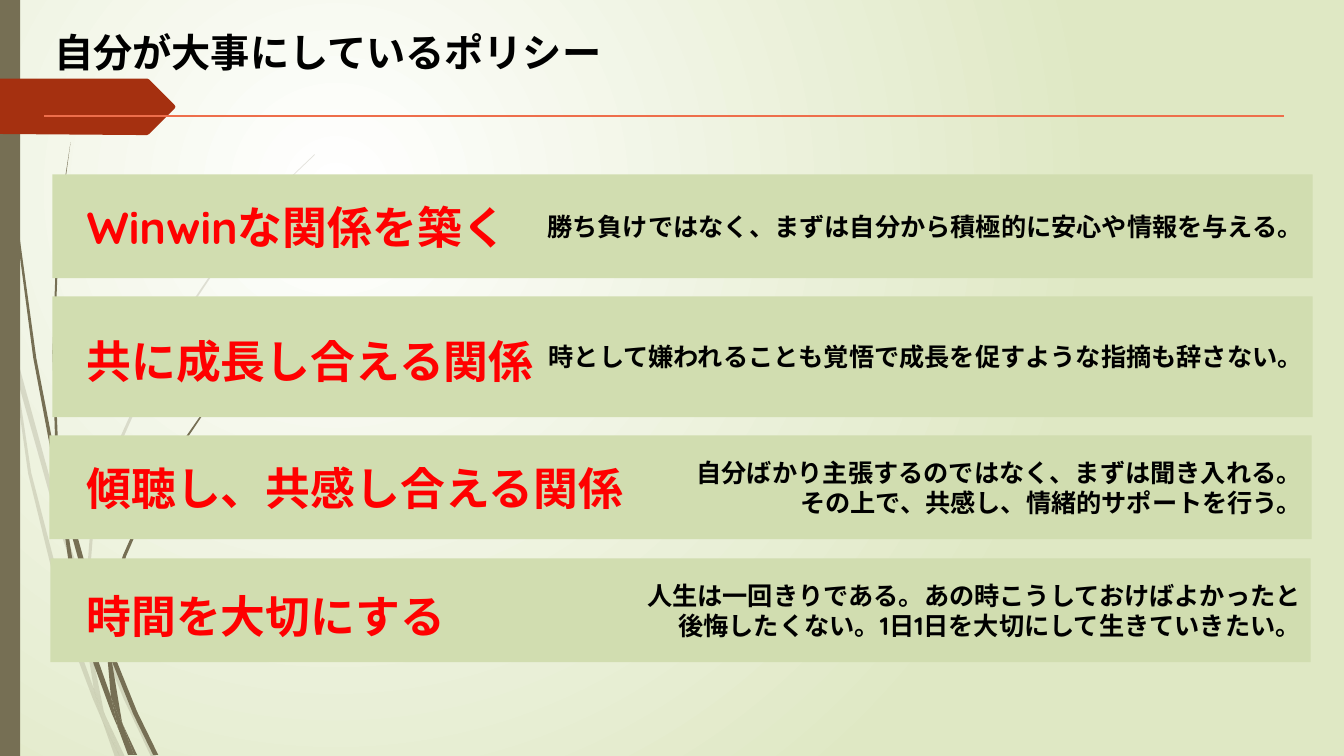
"""Build the slide that lists four personal policies."""
from lxml import etree
from pptx import Presentation
from pptx.dml.color import RGBColor
from pptx.enum.lang import MSO_LANGUAGE_ID
from pptx.enum.shapes import MSO_CONNECTOR, MSO_SHAPE
from pptx.enum.text import MSO_ANCHOR, MSO_AUTO_SIZE, PP_ALIGN
from pptx.oxml.ns import qn
from pptx.util import Inches, Pt

RECTANGLE = MSO_SHAPE.RECTANGLE
STRAIGHT = MSO_CONNECTOR.STRAIGHT
MIDDLE = MSO_ANCHOR.MIDDLE
FIT_SHAPE = MSO_AUTO_SIZE.SHAPE_TO_FIT_TEXT
LEFT, RIGHT = PP_ALIGN.LEFT, PP_ALIGN.RIGHT
JAPANESE = MSO_LANGUAGE_ID.JAPANESE

BLACK = RGBColor(0x00, 0x00, 0x00)
WHITE = RGBColor(0xFF, 0xFF, 0xFF)
RED = RGBColor(0xFF, 0x00, 0x00)
PALE_GREEN = RGBColor(0xDF, 0xE8, 0xC4)
BAND_GREEN = RGBColor(0xD1, 0xDD, 0xB0)
BROWN = RGBColor(0x76, 0x6F, 0x54)
RUST = RGBColor(0xA5, 0x30, 0x10)
ORANGE = RGBColor(0xEE, 0x6E, 0x4B)

HUNDREDTH = Inches(0.01)

FAINT_STEMS = [
    [(11, 350), (9, 322), (0, 282), (0, 299), (10, 344)],
    [(58, 522), (84, 599), (85, 586), (62, 520), (14, 345), (17, 376)],
    [(92, 607), (88, 596), (88, 610), (123, 694), (150, 751), (155, 751), (127, 692)],
    [(119, 751), (124, 751), (105, 711)],
    [(93, 683), (70, 619), (31, 469), (17, 376), (11, 350), (28, 470), (65, 621),
     (92, 693), (101, 714), (99, 707)],
    [(84, 599), (87, 646), (93, 683), (96, 692), (105, 711), (103, 706), (91, 646),
     (88, 610), (88, 608)],
    [(88, 584), (93, 522), (110, 462), (160, 349), (229, 245), (268, 198), (290, 175),
     (312, 154), (312, 153), (289, 175), (268, 197), (228, 244), (158, 348), (107, 461),
     (90, 521), (85, 584), (85, 586), (88, 596)],
    [(101, 714), (114, 751), (119, 751)],
    [(96, 692), (93, 683), (99, 707), (101, 714), (119, 751), (105, 711)],
]
DARK_STEMS = [
    [(7, 110), (17, 233), (33, 355), (56, 477), (57, 481), (55, 457), (55, 453),
     (36, 355), (19, 232), (8, 109), (5, 48), (4, 0), (3, 0), (4, 48)],
    [(88, 592), (106, 645), (106, 633), (106, 631), (93, 590), (60, 472), (64, 505)],
    [(113, 649), (110, 641), (111, 656), (132, 708), (152, 749), (157, 749), (136, 706)],
    [(110, 691), (98, 657), (72, 556), (64, 505), (57, 477), (68, 557), (93, 659),
     (111, 708), (117, 722), (116, 717)],
    [(60, 472), (58, 453), (54, 349), (58, 245), (63, 193), (70, 141), (62, 193),
     (56, 245), (52, 349), (55, 449)],
    [(133, 749), (136, 749), (122, 719)],
    [(111, 633), (115, 591), (125, 552), (158, 476), (205, 406), (231, 374), (245, 359),
     (261, 344), (260, 344), (245, 358), (231, 373), (204, 405), (156, 474), (122, 551),
     (110, 590), (106, 631), (110, 641)],
    [(117, 722), (127, 749), (131, 749)],
    [(106, 645), (110, 691), (116, 706), (122, 719), (121, 716), (111, 656), (109, 651)],
    [(106, 645), (109, 651), (111, 656), (110, 641), (106, 631), (106, 633)],
    [(116, 706), (110, 691), (116, 717), (117, 722), (130, 749), (133, 749), (122, 719)],
]
RIBBON = [(173, 108), (148, 133), (146, 134), (136, 134), (0, 133), (0, 78), (136, 78),
          (146, 78), (148, 79), (173, 104), (174, 106)]

POLICIES = [
    ("Winwinな関係を築く", (0.76, 1.93, 4.49), (0.52, 1.73, 12.5, 1.03),
     ["勝ち負けではなく、まずは自分から積極的に安心や情報を与える。"]),
    ("共に成長し合える関係", (0.76, 3.26, 4.69), (0.52, 2.94, 12.5, 1.2),
     ["時として嫌われることも覚悟で成長を促すような指摘も辞さない。"]),
    ("傾聴し、共感し合える関係", (0.76, 4.52, 5.59), (0.49, 4.32, 12.52, 1.03),
     ["自分ばかり主張するのではなく、まずは聞き入れる。",
      "その上で、共感し、情緒的サポートを行う。"]),
    ("時間を大切にする", (0.76, 5.79, 3.79), (0.5, 5.54, 12.5, 1.03),
     ["人生は一回きりである。あの時こうしておけばよかったと",
      "後悔したくない。1日1日を大切にして生きていきたい。"]),
]


def write(frame, lines, size=18, color=BLACK, align=LEFT):
    """Write each line as a bold paragraph of the text frame."""
    for index, line in enumerate(lines):
        paragraph = frame.add_paragraph() if index else frame.paragraphs[0]
        paragraph.alignment = align
        run = paragraph.add_run()
        run.text = line
        run.font.name = "Quicksand"
        run.font.size = Pt(size)
        run.font.bold = True
        run.font.color.rgb = color
        run.font.language_id = JAPANESE


class PolicySlide:
    """Draw the elements of the slide in one style."""

    def __init__(self, slide):
        """Keep the slide to draw on."""
        self.slide = slide
        self.shapes = slide.shapes

    def paint(self, shape, color):
        """Give the shape a plain fill without line or shadow."""
        shape.shadow.inherit = False
        shape.fill.solid()
        shape.fill.fore_color.rgb = color
        shape.line.fill.background()
        return shape

    def glow(self, center, edge):
        """Fill the background with a circular gradient."""
        fill = self.slide.background.fill
        fill.gradient()
        for stop, position, color in zip(fill.gradient_stops, (0, 1), (center, edge)):
            stop.position = position
            stop.color.rgb = color
        gradient = self.slide.element.find(".//" + qn("a:gradFill"))
        gradient.remove(gradient.find(qn("a:lin")))
        circle = etree.SubElement(gradient, qn("a:path"), path="circle")
        etree.SubElement(circle, qn("a:fillToRect"),
                         l="50000", t="50000", r="100000", b="100000")

    def outline(self, points, color, opacity=100):
        """Draw a closed outline from points in hundredths of an inch."""
        builder = self.shapes.build_freeform(*points[0], scale=HUNDREDTH)
        builder.add_line_segments(points[1:], close=True)
        shape = self.paint(builder.convert_to_shape(), color)
        if opacity < 100:
            tint = shape.element.spPr.find(qn("a:solidFill"))[0]
            etree.SubElement(tint, qn("a:alpha"), val=str(opacity * 1000))

    def band(self, box, color, lines=()):
        """Draw a rectangle with right-aligned lines of text."""
        shape = self.shapes.add_shape(RECTANGLE, *map(Inches, box))
        self.paint(shape, color)
        shape.text_frame.vertical_anchor = MIDDLE
        write(shape.text_frame, lines, align=RIGHT)

    def heading(self, text, box, **style):
        """Place a one-line text that does not wrap."""
        frame = self.shapes.add_textbox(*map(Inches, box)).text_frame
        frame.word_wrap = False
        frame.auto_size = FIT_SHAPE
        write(frame, [text], **style)

    def rule(self, start, end, color, width):
        """Draw a straight line."""
        line = self.shapes.add_connector(STRAIGHT, *map(Inches, start + end))
        line.line.color.rgb = color
        line.line.width = Pt(width)
        etree.SubElement(line.element.spPr, qn("a:effectLst"))


def main():
    """Build and save the presentation."""
    deck = Presentation()
    deck.slide_width, deck.slide_height = Inches(13.33), Inches(7.5)
    page = PolicySlide(deck.slides.add_slide(deck.slide_layouts[6]))
    page.glow(WHITE, PALE_GREEN)
    for stem in FAINT_STEMS:
        page.outline(stem, BROWN, opacity=20)
    for stem in DARK_STEMS:
        page.outline(stem, BROWN)
    page.band((0, 0, 0.2, 7.5), BROWN)
    page.outline(RIBBON, RUST)
    page.heading("自分が大事にしているポリシー", (0.44, 0.23, 5.7, 0.57), size=28)
    page.rule((0.44, 1.15), (12.74, 1.15), ORANGE, 1.25)
    for policy, place, box, reasons in POLICIES:
        page.band(box, BAND_GREEN, reasons)
        page.heading(policy, (*place, 0.64), size=32, color=RED)
    deck.save("out.pptx")


if __name__ == "__main__":
    main()
